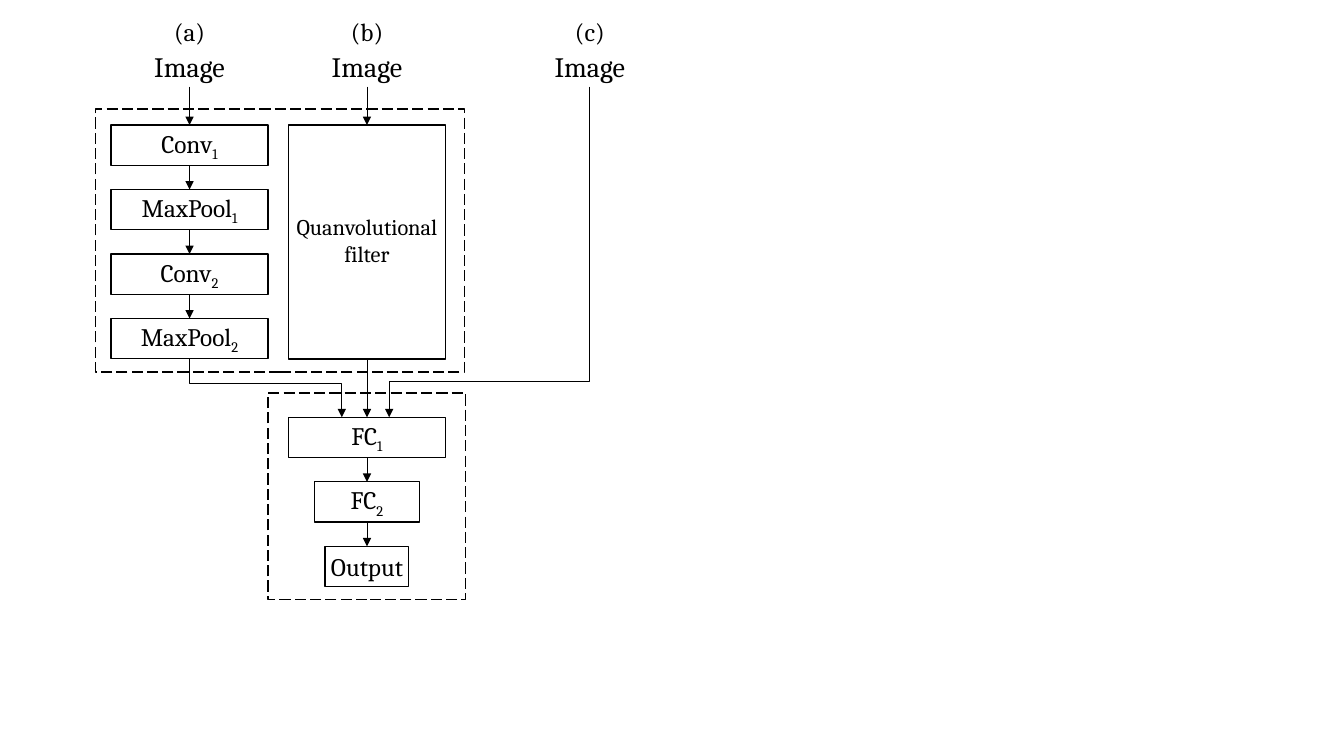
"""Draw three image classifier pipelines that share their final layers."""
from pptx import Presentation
from pptx.dml.color import RGBColor
from pptx.enum.dml import MSO_LINE
from pptx.enum.shapes import MSO_CONNECTOR, MSO_SHAPE
from pptx.enum.text import MSO_ANCHOR, PP_ALIGN
from pptx.oxml.ns import qn
from pptx.util import Inches, Pt
from lxml import etree

BLACK = RGBColor(0, 0, 0)
RECT = MSO_SHAPE.RECTANGLE
LINE = MSO_CONNECTOR.STRAIGHT
ELBOW = MSO_CONNECTOR.ELBOW
DASH = MSO_LINE.LONG_DASH
MIDDLE = MSO_ANCHOR.MIDDLE
CENTER = PP_ALIGN.CENTER

COL_A, COL_B, COL_C = 1.88, 3.64, 5.85
BOX_W, BOX_H, STEP = 1.56, 0.4, 0.64
TOP, JOIN = 1.24, 4.14
IMAGE_Y = 0.46
LAYERS = [("Conv", "1"), ("MaxPool", "1"), ("Conv", "2"), ("MaxPool", "2")]
HEAD = [("FC", "1", BOX_W), ("FC", "2", 1.04), ("Output", "", 0.83)]


def write(frame, text, sub="", size=18, font="Cambria", color=BLACK):
    frame.word_wrap = True
    frame.vertical_anchor = MIDDLE
    para = frame.paragraphs[0]
    para.alignment = CENTER
    for part, base in ((text, None), (sub, "-25000")):
        if not part:
            continue
        run = para.add_run()
        run.text = part
        run.font.name = font
        run.font.size = Pt(size)
        run.font.color.rgb = color
        if base:
            run._r.get_or_add_rPr().set("baseline", base)


class Diagram:
    def __init__(self, slide, color=BLACK, edge=1, thin=0.5):
        self.slide = slide
        self.color = color
        self.edge = edge
        self.thin = thin

    def rect(self, left, top, width, height, dash=None):
        shape = self.slide.shapes.add_shape(
            RECT, Inches(left), Inches(top), Inches(width), Inches(height))
        shape.shadow.inherit = False
        shape.fill.background()
        shape.line.color.rgb = self.color
        shape.line.width = Pt(self.edge)
        if dash:
            shape.line.dash_style = dash

    def label(self, mid, top, width, text, height=BOX_H, **style):
        box = self.slide.shapes.add_textbox(
            Inches(mid - width / 2), Inches(top), Inches(width), Inches(height))
        write(box.text_frame, text, **style)

    def layer(self, mid, top, width, text, sub):
        self.rect(mid - width / 2, top, width, BOX_H)
        self.label(mid, top, width + 0.1, text, sub=sub)

    def arrow(self, x1, y1, x2, y2, kind=LINE):
        link = self.slide.shapes.add_connector(
            kind, Inches(x1), Inches(y1), Inches(x2), Inches(y2))
        link.line.color.rgb = self.color
        link.line.width = Pt(self.thin)
        props = link._element.spPr
        etree.SubElement(props.find(qn("a:ln")), qn("a:tailEnd"), type="triangle")
        etree.SubElement(props, qn("a:effectLst"))
        return props

    def down(self, mid, start, end):
        self.arrow(mid, start, mid, end)

    def bend(self, x1, y1, x2, y2, turn):
        mid_x, mid_y = (x1 + x2) / 2, (y1 + y2) / 2
        half_w, half_h = (y2 - y1) / 2, abs(x2 - x1) / 2
        side = 1 if x2 > x1 else -1
        props = self.arrow(mid_x + side * half_w, mid_y - half_h,
                           mid_x - side * half_w, mid_y + half_h, ELBOW)
        angle = 270 if side > 0 else 90
        props.find(qn("a:xfrm")).set("rot", str(angle * 60000))
        ratio = round((turn - y1) / (y2 - y1) * 100000)
        guides = props.find(qn("a:prstGeom")).find(qn("a:avLst"))
        etree.SubElement(guides, qn("a:gd"), name="adj1", fmla=f"val {ratio}")


def main():
    deck = Presentation()
    deck.slide_width = Inches(13.33)
    deck.slide_height = Inches(7.5)
    art = Diagram(deck.slides.add_slide(deck.slide_layouts[6]))

    art.rect(0.95, 1.08, 3.66, 2.61, DASH)
    art.rect(2.66, 3.9, 1.96, 2.05, DASH)

    for mid, mark in ((COL_A, "(a)"), (COL_B, "(b)"), (COL_C, "(c)")):
        art.label(mid, 0.11, 0.68, mark)
        art.label(mid, IMAGE_Y, BOX_W, "Image", size=20)

    start = IMAGE_Y + BOX_H
    for row, (text, sub) in enumerate(LAYERS):
        top = TOP + row * STEP
        art.layer(COL_A, top, BOX_W, text, sub)
        art.down(COL_A, start, top)
        start = top + BOX_H
    base = start

    art.rect(COL_B - BOX_W / 2, TOP, BOX_W, base - TOP)
    art.label(COL_B, 2.06, 1.6, "Quanvolutional filter", height=0.64, size=16)
    art.down(COL_B, IMAGE_Y + BOX_H, TOP)

    for row, (text, sub, width) in enumerate(HEAD):
        top = JOIN + row * STEP
        art.layer(COL_B, top, width, text, sub)
        art.down(COL_B, start, top)
        start = top + BOX_H

    art.bend(COL_A, base, COL_B - 0.25, JOIN, 3.8)
    art.bend(COL_C, IMAGE_Y + BOX_H, COL_B + 0.22, JOIN, 3.78)
    deck.save("out.pptx")


if __name__ == "__main__":
    main()
